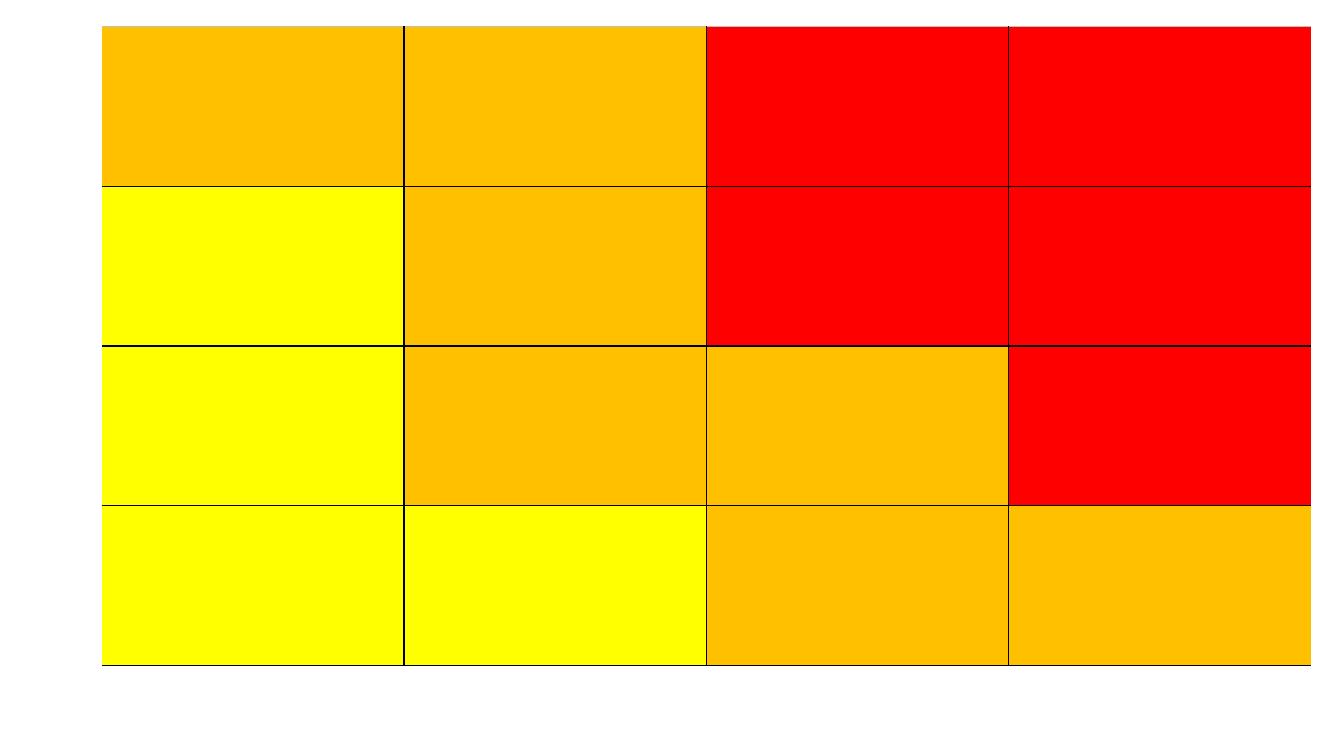
from lxml import etree
from pptx import Presentation
from pptx import util as u
from pptx.dml.color import RGBColor
from pptx.oxml import ns

COLORS = {"low": "FFFF00", "mid": "FFC000", "high": "FF0000",
          "line": "000000", "edge": "BFBFBF"}
LEVELS = [
    ["mid", "mid", "high", "high"],
    ["low", "mid", "high", "high"],
    ["low", "mid", "mid", "high"],
    ["low", "low", "mid", "mid"],
]


def add_line(cell, side, color):
    """Draw one side of a cell, or clear it when color is None."""
    line = etree.SubElement(cell._tc.get_or_add_tcPr(), ns.qn("a:ln" + side),
                            w=str(u.Pt(1)))
    if color is None:
        etree.SubElement(line, ns.qn("a:noFill"))
    else:
        fill = etree.SubElement(line, ns.qn("a:solidFill"))
        etree.SubElement(fill, ns.qn("a:srgbClr"), val=COLORS[color])


def add_matrix(slide, left, top, width, height):
    rows, cols = len(LEVELS), len(LEVELS[0])
    table = slide.shapes.add_table(rows, cols, u.Pt(left), u.Pt(top),
                                   u.Pt(width), u.Pt(height)).table
    table.first_row = table.horz_banding = False
    for r, levels in enumerate(LEVELS):
        for c, level in enumerate(levels):
            cell = table.cell(r, c)
            add_line(cell, "L", "line" if c else None)
            add_line(cell, "R", "line" if c < cols - 1 else None)
            add_line(cell, "T", "line" if r else "edge")
            add_line(cell, "B", "line")
            cell.fill.solid()
            cell.fill.fore_color.rgb = RGBColor.from_string(COLORS[level])


def main():
    deck = Presentation()
    deck.slide_width, deck.slide_height = u.Pt(960), u.Pt(540)
    slide = deck.slides.add_slide(deck.slide_layouts[6])
    add_matrix(slide, 72.5, 19.2, 864, 456)
    deck.save("out.pptx")


if __name__ == "__main__":
    main()
